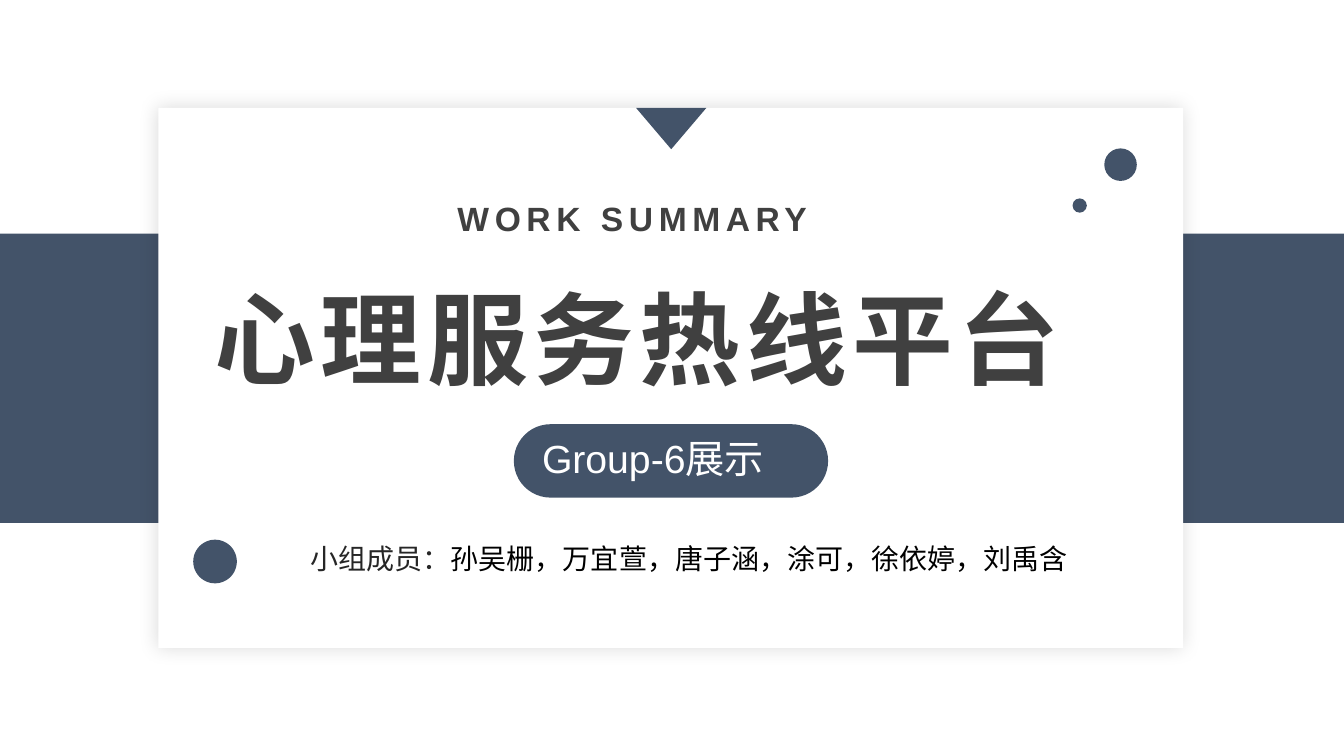
from dataclasses import dataclass

from lxml import etree
from pptx import Presentation
from pptx.dml.color import RGBColor
from pptx.enum.shapes import MSO_SHAPE as Preset
from pptx.enum.text import MSO_ANCHOR as Anchor, PP_ALIGN as Align
from pptx.oxml.ns import qn
from pptx.shapes.autoshape import Shape
from pptx.slide import Slide
from pptx.util import Cm, Pt

NAVY = RGBColor(0x43, 0x53, 0x69)
WHITE = RGBColor(0xFF, 0xFF, 0xFF)
BLACK = RGBColor(0x00, 0x00, 0x00)
CHARCOAL = RGBColor(0x40, 0x40, 0x40)
INK = RGBColor(0x26, 0x26, 0x26)

SLIDE_WIDTH, SLIDE_HEIGHT = 33.87, 19.05
LATIN_FONT = "Arial"
CHINESE_FONT = "Noto Sans CJK SC"


@dataclass(frozen=True)
class Box:
    left: float
    top: float
    width: float
    height: float

    def lengths(self) -> tuple[Cm, Cm, Cm, Cm]:
        return Cm(self.left), Cm(self.top), Cm(self.width), Cm(self.height)


@dataclass(frozen=True)
class Panel:
    preset: Preset
    box: Box
    color: RGBColor = NAVY
    rotation: float = 0
    rounding: float | None = None
    glow: bool = False


@dataclass(frozen=True)
class Words:
    text: str
    color: RGBColor


@dataclass(frozen=True)
class Caption:
    box: Box
    size: int
    words: tuple[Words, ...]
    align: Align = Align.JUSTIFY
    font: str = LATIN_FONT
    bold: bool = False
    tracking: int = 0
    inset: bool = True


def dot(left: float, top: float, diameter: float) -> Panel:
    return Panel(Preset.OVAL, Box(left, top, diameter, diameter))


CARD = Box(3.99, 2.72, 25.83, 13.61)

PANELS = (
    Panel(Preset.RECTANGLE, Box(0, 5.89, SLIDE_WIDTH, 7.29)),
    Panel(Preset.RECTANGLE, CARD, WHITE, glow=True),
    Panel(Preset.ROUNDED_RECTANGLE, Box(12.95, 10.69, 7.92, 1.85), rounding=0.5),
    dot(27.83, 3.74, 0.82),
    dot(27.03, 5, 0.36),
    dot(4.87, 13.6, 1.1),
    Panel(Preset.ISOSCELES_TRIANGLE, Box(16.03, CARD.top, 1.77, 1.04), rotation=180),
)

CAPTIONS = (
    Caption(Box(11.53, 4.98, 11.46, 1.02), 24, (Words("WORK SUMMARY", CHARCOAL),),
            bold=True, tracking=4, inset=False),
    Caption(Box(13.41, 10.82, 6.99, 1.45), 28, (Words("Group-6展示", WHITE),)),
    Caption(Box(6.5, 13.51, 21.74, 1.12), 20,
            (Words("小组成员：", INK),
             Words("孙吴栅，万宜萱，唐子涵，涂可，徐依婷，刘禹含", BLACK)),
            align=Align.CENTER),
    Caption(Box(5.41, 6.95, 23.7, 3.07), 72, (Words("心理服务热线平台", CHARCOAL),),
            font=CHINESE_FONT, bold=True, tracking=4, inset=False),
)


def add_glow(shape: Shape) -> None:
    effects = shape._element.spPr.find(qn("a:effectLst"))
    shadow = etree.SubElement(effects, qn("a:outerShdw"), blurRad=str(Pt(14)),
                              dist="0", dir="0", algn="ctr", rotWithShape="0")
    color = etree.SubElement(shadow, qn("a:srgbClr"), val=str(BLACK))
    etree.SubElement(color, qn("a:alpha"), val="15000")


def draw_panel(slide: Slide, panel: Panel) -> None:
    shape = slide.shapes.add_shape(panel.preset, *panel.box.lengths())
    shape.shadow.inherit = False
    shape.fill.solid()
    shape.fill.fore_color.rgb = panel.color
    shape.line.fill.background()
    shape.rotation = panel.rotation
    if panel.rounding is not None:
        shape.adjustments[0] = panel.rounding
    if panel.glow:
        add_glow(shape)


def draw_caption(slide: Slide, caption: Caption) -> None:
    frame = slide.shapes.add_textbox(*caption.box.lengths()).text_frame
    frame.word_wrap = True
    frame.vertical_anchor = Anchor.MIDDLE
    if not caption.inset:
        frame.margin_left = frame.margin_right = 0
        frame.margin_top = frame.margin_bottom = 0
    paragraph = frame.paragraphs[0]
    paragraph.alignment = caption.align
    for words in caption.words:
        run = paragraph.add_run()
        run.text = words.text
        run.font.size = Pt(caption.size)
        run.font.bold = caption.bold
        run.font.name = caption.font
        run.font.color.rgb = words.color
        properties = run.font._element
        if caption.tracking:
            properties.set("spc", str(caption.tracking * 100))
        etree.SubElement(properties, qn("a:ea"), typeface=CHINESE_FONT)


def main() -> None:
    deck = Presentation()
    deck.slide_width, deck.slide_height = Cm(SLIDE_WIDTH), Cm(SLIDE_HEIGHT)
    slide = deck.slides.add_slide(deck.slide_layouts[6])
    for panel in PANELS:
        draw_panel(slide, panel)
    for caption in CAPTIONS:
        draw_caption(slide, caption)
    deck.save("out.pptx")


if __name__ == "__main__":
    main()
